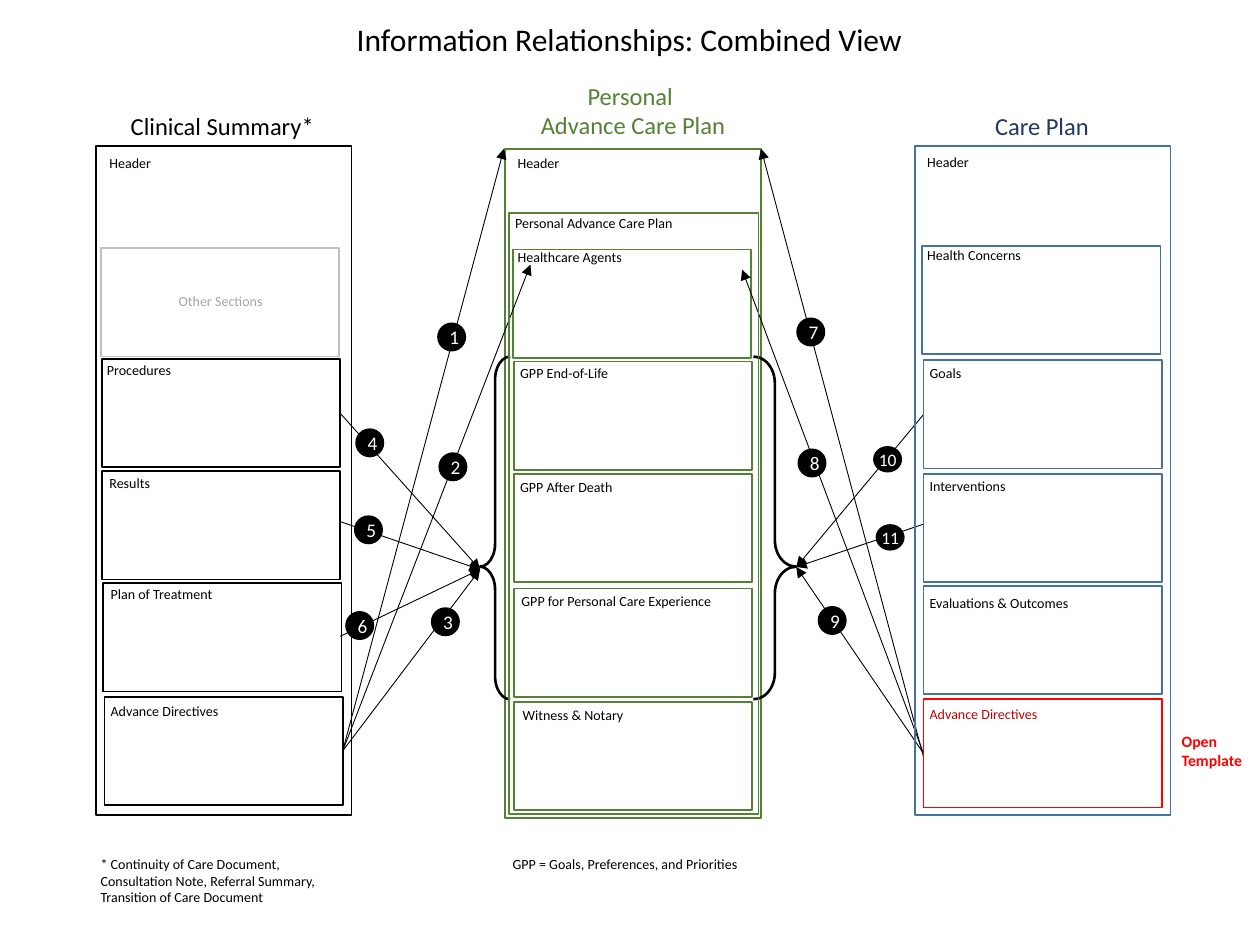
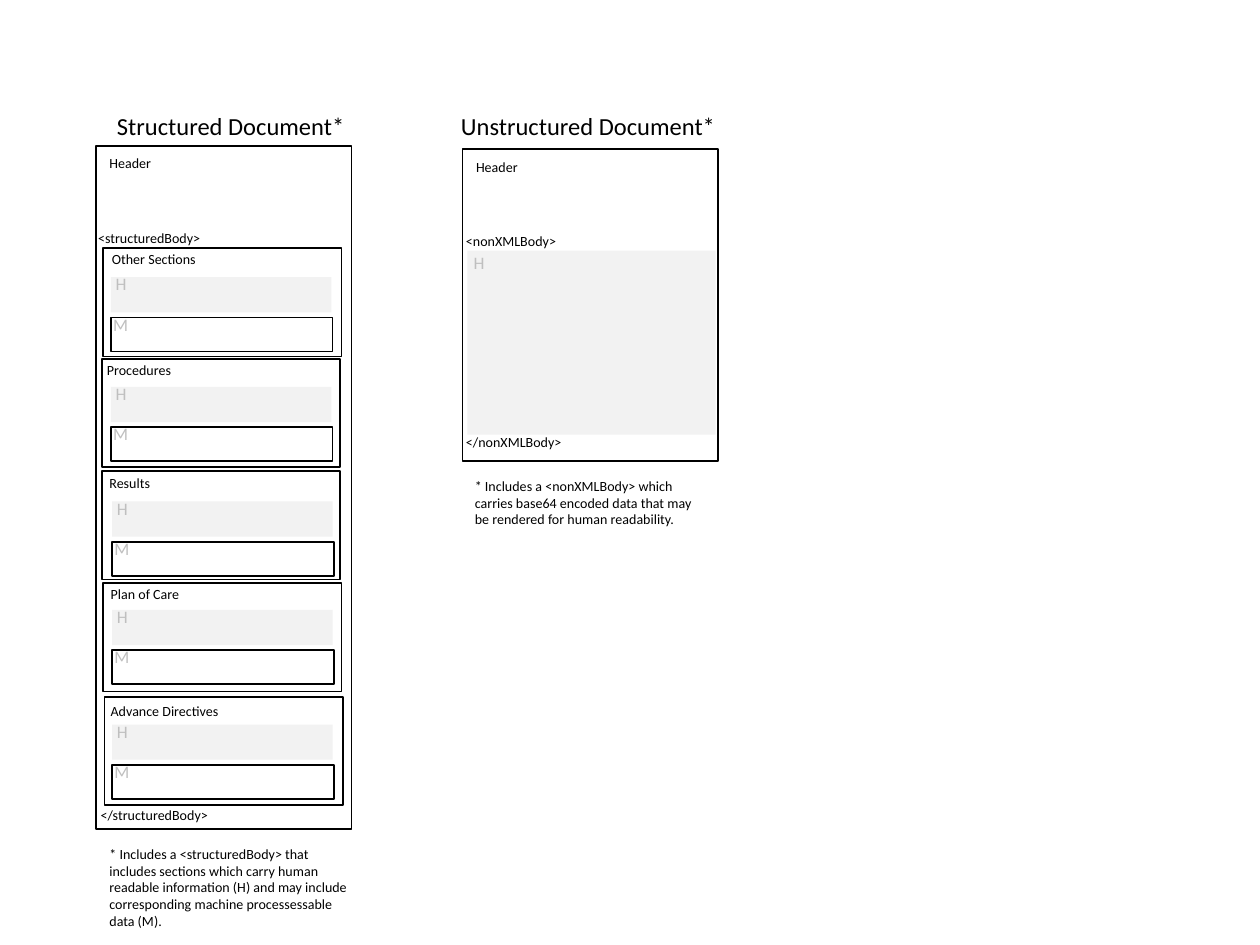
from pptx import Presentation
from pptx.dml.color import RGBColor
from pptx.enum.shapes import MSO_CONNECTOR, MSO_SHAPE
from pptx.enum.text import MSO_ANCHOR, MSO_AUTO_SIZE, PP_ALIGN
from pptx.oxml.ns import qn
from pptx.util import Inches, Pt
from lxml.etree import SubElement

FONT = "Calibri"
BLACK = RGBColor(0x00, 0x00, 0x00)
WHITE = RGBColor(0xFF, 0xFF, 0xFF)
GREEN = RGBColor(0x54, 0x82, 0x35)
BLUE = RGBColor(0x43, 0x73, 0x9E)
NAVY = RGBColor(0x20, 0x38, 0x64)
RED = RGBColor(0xFF, 0x00, 0x00)
DARK_RED = RGBColor(0xC0, 0x00, 0x00)
GREY_TEXT = RGBColor(0xA6, 0xA6, 0xA6)
GREY_LINE = RGBColor(0xBF, 0xBF, 0xBF)
GREY_FILL = RGBColor(0xF2, 0xF2, 0xF2)

COLUMN_WIDTH = 2.03
SECTION = (1.89, 0.86)
LABEL_HEIGHT = 0.24
HUMAN_SIZE = (1.75, 0.28)
MACHINE_SIZE = (1.76, 0.27)

# label, label left, label top, label width, section left, section top
PROCEDURES = ("Procedures", 0.75, 2.82, 0.72, 0.81, 2.85)
RESULTS = ("Results", 0.77, 3.72, 0.53, 0.81, 3.74)
DIRECTIVES = ("Advance Directives", 0.78, 5.53, 1.07, 0.83, 5.53)
CLINICAL = [
    PROCEDURES, RESULTS,
    ("Plan of Treatment", 0.78, 4.6, 1.03, 0.82, 4.63),
    DIRECTIVES,
]
ADVANCE = [
    ("Healthcare Agents", 4.01, 1.92, 1.04, 4.07, 1.98),
    ("GPP End-of-Life", 4.03, 2.84, 0.92, 4.08, 2.87),
    ("GPP After Death", 4.03, 3.75, 0.94, 4.08, 3.76),
    ("GPP for Personal Care Experience", 4.04, 4.65, 1.73, 4.08, 4.67),
    ("Witness & Notary", 4.05, 5.56, 1.01, 4.08, 5.57),
]
CARE = [
    ("Health Concerns", 7.26, 1.91, 0.95, 7.32, 1.95),
    ("Goals", 7.28, 2.84, 0.46, 7.33, 2.86),
    ("Interventions", 7.28, 3.74, 0.81, 7.33, 3.76),
    ("Evaluations & Outcomes", 7.28, 4.67, 1.32, 7.33, 4.65),
]
OPEN_TEMPLATE = [("Advance Directives", 7.28, 5.55, 1.07, 7.33, 5.55)]
STRUCTURED = [
    ("Other Sections", 0.79, 1.94, 0.87, 0.82, 1.97),
    PROCEDURES, RESULTS,
    ("Plan of Care", 0.78, 4.6, 0.75, 0.82, 4.63),
    DIRECTIVES,
]
HUMAN_PLACES = [(0.88, 2.2), (0.88, 3.07), (0.89, 3.98), (0.89, 4.84), (0.89, 5.75)]

LEFT_HUB, RIGHT_HUB = (3.81, 4.52), (6.32, 4.5)
LEFT_DIRECTIVES, RIGHT_DIRECTIVES = (2.72, 5.96), (7.33, 5.98)
ARROWS = [
    ((2.7, 3.28), LEFT_HUB), ((2.7, 4.14), LEFT_HUB), ((2.7, 5.05), LEFT_HUB),
    (LEFT_DIRECTIVES, (4, 1.18)), (LEFT_DIRECTIVES, LEFT_HUB),
    (LEFT_DIRECTIVES, (4.21, 2.1)),
    (RIGHT_DIRECTIVES, (5.89, 2.14)), (RIGHT_DIRECTIVES, RIGHT_HUB),
    ((7.33, 6.01), (6.04, 1.18)),
    ((7.33, 3.29), RIGHT_HUB), ((7.33, 4.16), RIGHT_HUB),
]
BADGES = [
    (3.47, 2.56), (3.48, 3.59), (3.42, 4.82), (2.82, 3.4), (2.81, 4.09), (2.74, 4.85),
    (6.32, 2.52), (6.33, 3.56), (6.49, 4.81), (6.93, 3.54), (6.95, 4.16),
]


def write(frame, lines, size, color, align=PP_ALIGN.LEFT, bold=False):
    for index, line in enumerate(lines):
        para = frame.paragraphs[0] if index == 0 else frame.add_paragraph()
        para.alignment = align
        span = para.add_run()
        span.text = line
        span.font.name = FONT
        span.font.size = Pt(size)
        span.font.bold = bold
        span.font.color.rgb = color


def add_text(page, place, *lines, size=8, color=BLACK, wrap=False,
             align=PP_ALIGN.LEFT, bold=False):
    box = page.shapes.add_textbox(*map(Inches, place))
    box.text_frame.word_wrap = wrap
    box.text_frame.auto_size = MSO_AUTO_SIZE.SHAPE_TO_FIT_TEXT
    write(box.text_frame, lines, size, color, align, bold)


def add_shape(page, place, line=None, fill=None, kind=MSO_SHAPE.RECTANGLE, weight=1):
    shape = page.shapes.add_shape(kind, *map(Inches, place))
    shape.shadow.inherit = False
    if fill is None:
        shape.fill.background()
    else:
        shape.fill.solid()
        shape.fill.fore_color.rgb = fill
    if line is None:
        shape.line.fill.background()
    else:
        shape.line.color.rgb = line
        shape.line.width = Pt(weight)
    return shape


def add_sections(page, sections, line, color=BLACK):
    for label, label_left, label_top, width, left, top in sections:
        add_shape(page, (left, top, *SECTION), line)
        add_text(page, (label_left, label_top, width, LABEL_HEIGHT), label, color=color)


def add_column(page, left, top, height, line, header_left, header_top):
    add_shape(page, (left, top, COLUMN_WIDTH, height), line)
    add_text(page, (header_left, header_top, 0.54, LABEL_HEIGHT), "Header")


def add_brace(page, place, adjustments, flipped=False):
    brace = add_shape(page, place, BLACK, kind=MSO_SHAPE.RIGHT_BRACE, weight=1.5)
    for index, value in enumerate(adjustments):
        brace.adjustments[index] = value
    if flipped:
        brace._element.spPr.find(qn("a:xfrm")).set("flipH", "1")


def add_arrow(page, start, end):
    arrow = page.shapes.add_connector(MSO_CONNECTOR.STRAIGHT, *map(Inches, start + end))
    arrow.line.color.rgb = BLACK
    arrow.line.width = Pt(0.5)
    SubElement(arrow.line._get_or_add_ln(), qn("a:tailEnd"), type="triangle")
    SubElement(arrow._element.spPr, qn("a:effectLst"))


def add_badge(page, number, left, top):
    wide = number > 9
    badge = add_shape(page, (left, top, 0.23, 0.21 if wide else 0.23),
                      fill=BLACK, kind=MSO_SHAPE.OVAL)
    frame = badge.text_frame
    frame.vertical_anchor = MSO_ANCHOR.MIDDLE
    if wide:
        frame.margin_left = frame.margin_right = 0
        frame.margin_top = frame.margin_bottom = 0
    write(frame, [str(number)], 10 if wide else 11, WHITE, PP_ALIGN.CENTER)


def add_marker(page, letter, left, top):
    width = 0.29 if letter == "H" else 0.32
    add_text(page, (left, top, width, 0.27), letter, size=10, color=GREY_LINE)


def build_combined_view(deck):
    page = deck.slides.add_slide(deck.slide_layouts[5])
    title = page.shapes.title
    title.left, title.top, title.width, title.height = map(Inches, (0, 0.11, 9.99, 0.4))
    title.text_frame.vertical_anchor = MSO_ANCHOR.TOP
    title.text_frame.auto_size = MSO_AUTO_SIZE.NONE
    write(title.text_frame, ["Information Relationships: Combined View"], 18, BLACK,
          PP_ALIGN.CENTER)

    add_column(page, 0.76, 1.16, 5.31, BLACK, 0.77, 1.18)
    add_column(page, 4.01, 1.18, 5.31, GREEN, 4.01, 1.18)
    add_sections(page, ADVANCE, GREEN)
    add_brace(page, (3.81, 2.83, 0.24, 2.72), (0.76, 0.613), flipped=True)
    add_brace(page, (5.98, 2.83, 0.34, 2.72), (0.618, 0.613))
    add_shape(page, (0.8, 1.97, *SECTION), GREY_LINE)
    add_text(page, (1.32, 2.27, 0.87, LABEL_HEIGHT), "Other Sections", color=GREY_TEXT)
    add_sections(page, CLINICAL, BLACK)
    for start, end in ARROWS:
        add_arrow(page, start, end)
    add_column(page, 7.26, 1.16, 5.31, BLUE, 7.26, 1.17)
    add_sections(page, CARE, BLUE)
    add_sections(page, OPEN_TEMPLATE, RED, DARK_RED)
    add_text(page, (9.28, 5.76, 0.7, 0.4), "Open ", "Template",
             size=9, color=RED, bold=True)
    add_shape(page, (4.04, 1.69, 1.98, 4.77), GREEN)
    add_text(page, (3.99, 1.65, 1.47, LABEL_HEIGHT), "Personal Advance Care Plan")

    heading = dict(size=14, wrap=True, align=PP_ALIGN.CENTER)
    add_text(page, (0.76, 0.83, 2.01, 0.34), "Clinical Summary*", **heading)
    add_text(page, (4.01, 0.59, 2.03, 0.57), "Personal ", "Advance Care Plan",
             color=GREEN, **heading)
    add_text(page, (7.26, 0.83, 2.02, 0.34), "Care Plan", color=NAVY, **heading)
    add_text(page, (0.7, 6.74, 2.13, 0.5),
             "* Continuity of Care Document, Consultation Note, Referral Summary, "
             "Transition of Care Document", wrap=True)
    add_text(page, (3.97, 6.74, 2.13, LABEL_HEIGHT),
             "GPP = Goals, Preferences, and Priorities", wrap=True)
    for number, place in enumerate(BADGES, 1):
        add_badge(page, number, *place)


def build_document_kinds(deck):
    page = deck.slides.add_slide(deck.slide_layouts[6])
    add_column(page, 0.76, 1.16, 5.42, BLACK, 0.77, 1.18)
    add_text(page, (0.83, 0.83, 2.02, 0.34), "Structured Document*", size=14)
    add_sections(page, STRUCTURED, BLACK)
    for left, top in HUMAN_PLACES:
        add_shape(page, (left, top + 0.32, *MACHINE_SIZE), BLACK)
        add_shape(page, (left, top, *HUMAN_SIZE), fill=GREY_FILL)
        add_marker(page, "H", left - 0.06, top - 0.08)
        add_marker(page, "M", left - 0.08, top + 0.24)
    add_text(page, (0.68, 1.77, 1.02, LABEL_HEIGHT), "<structuredBody>")
    add_text(page, (0.7, 6.35, 1.07, LABEL_HEIGHT), "</structuredBody>")
    add_text(page, (0.77, 6.66, 2.13, 0.77),
             "* Includes a <structuredBody> that includes sections which carry human "
             "readable information (H) and may include corresponding machine "
             "processessable data (M).", wrap=True)

    add_column(page, 3.67, 1.18, 2.48, BLACK, 3.68, 1.21)
    add_text(page, (3.56, 0.83, 2.24, 0.34), "Unstructured Document*", size=14)
    add_shape(page, (3.71, 1.99, 1.97, 1.46), fill=GREY_FILL)
    add_text(page, (3.6, 1.8, 0.93, LABEL_HEIGHT), "<nonXMLBody>")
    add_text(page, (3.6, 3.39, 0.97, LABEL_HEIGHT), "</nonXMLBody>")
    add_marker(page, "H", 3.66, 1.95)
    add_text(page, (3.67, 3.74, 2.02, 0.5),
             "* Includes a <nonXMLBody> which carries base64 encoded data that may "
             "be rendered for human readability.", wrap=True)


deck = Presentation()
deck.slide_width, deck.slide_height = Inches(10), Inches(7.5)
build_combined_view(deck)
build_document_kinds(deck)
deck.save("out.pptx")
